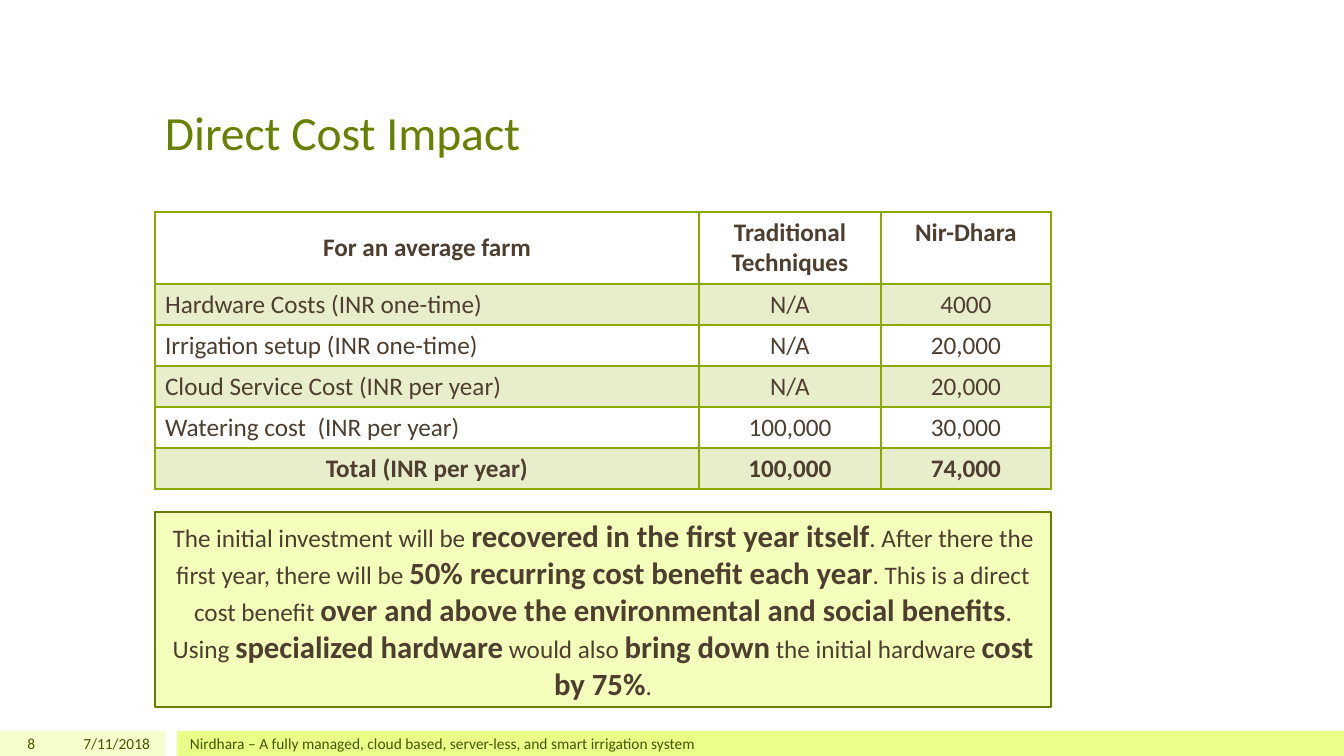
import pptx
import pptx.util
import pptx.dml.color
import pptx.enum.shapes
import pptx.enum.text
import pptx.oxml.ns
import lxml.etree

EMU = 12192000 / 1344
FONT = "Calibri"
HEX = {
    "title": "688000",
    "foot": "455500",
    "body": "4D3E2F",
    "line": "8BAA00",
    "band": "E8EECC",
    "white": "FFFFFF",
    "note": "F3FFBB",
    "edge": "677E00",
    "pale": "F6FFCC",
    "lime": "E9FF88",
}
ALIGN = pptx.enum.text.PP_ALIGN
ANCHOR = pptx.enum.text.MSO_ANCHOR
COSTS = [
    ("For an average farm", "Traditional Techniques", "Nir-Dhara"),
    ("Hardware Costs (INR one-time)", "N/A", "4000"),
    ("Irrigation setup (INR one-time)", "N/A", "20,000"),
    ("Cloud Service Cost (INR per year)", "N/A", "20,000"),
    ("Watering cost  (INR per year)", "100,000", "30,000"),
    ("Total (INR per year)", "100,000", "74,000"),
]
NOTE = [
    ("The initial investment will be ", False),
    ("recovered in the first year itself", True),
    (". After there the first year, there will be ", False),
    ("50% recurring cost benefit each year", True),
    (". This is a direct cost benefit ", False),
    ("over and above the environmental and social benefits", True),
    (". Using ", False),
    ("specialized hardware", True),
    (" would also ", False),
    ("bring down", True),
    (" the initial hardware ", False),
    ("cost by 75%", True),
    (".", False),
]


def px(num):
    return pptx.util.Emu(round(num * EMU))


def tint(name):
    return pptx.dml.color.RGBColor.from_string(HEX[name])


def style(font, size, color, bold=False):
    font.name = FONT
    font.size = pptx.util.Pt(size)
    font.bold = bold
    font.color.rgb = tint(color)


def add_rect(slide, area, fill, edge=None):
    kind = pptx.enum.shapes.MSO_SHAPE.RECTANGLE
    rect = slide.shapes.add_shape(kind, *map(px, area))
    rect.shadow.inherit = False
    rect.fill.solid()
    rect.fill.fore_color.rgb = tint(fill)
    if edge:
        rect.line.color.rgb = tint(edge)
        rect.line.width = pptx.util.Pt(1)
    else:
        rect.line.fill.background()
    return rect


def add_label(slide, area, text, size, color, align=ALIGN.LEFT, anchor=ANCHOR.MIDDLE):
    frame = slide.shapes.add_textbox(*map(px, area)).text_frame
    frame.word_wrap = True
    frame.vertical_anchor = anchor
    frame.margin_top = frame.margin_bottom = 0
    frame.text = text
    para = frame.paragraphs[0]
    para.alignment = align
    style(para.runs[0].font, size, color)


def set_edge(cell, side, points):
    props = cell._tc.get_or_add_tcPr()
    name = pptx.oxml.ns.qn
    line = lxml.etree.SubElement(props, name("a:ln" + side), w=str(points * 12700))
    fill = lxml.etree.SubElement(line, name("a:solidFill"))
    lxml.etree.SubElement(fill, name("a:srgbClr"), val=HEX["line"])


def fill_cell(cell, text, row, col):
    last = len(COSTS) - 1
    for side in "LRTB":
        thick = (side == "B" and row == 0) or (side == "T" and row == 1)
        set_edge(cell, side, 2 if thick else 1)
    cell.fill.solid()
    cell.fill.fore_color.rgb = tint("band" if row % 2 else "white")
    cell.vertical_anchor = ANCHOR.MIDDLE if row == col == 0 else ANCHOR.TOP
    cell.text_frame.text = text
    para = cell.text_frame.paragraphs[0]
    ends = row in (0, last)
    para.alignment = ALIGN.CENTER if col or ends else ALIGN.LEFT
    style(para.runs[0].font, 18, "body", ends)


def add_costs(slide):
    area = map(px, (155, 212, 896, 277))
    table = slide.shapes.add_table(len(COSTS), 3, *area).table
    for col, width in enumerate((544, 182, 170)):
        table.columns[col].width = px(width)
    for row, texts in enumerate(COSTS):
        table.rows[row].height = px(41 if row else 72)
        for col, text in enumerate(texts):
            fill_cell(table.cell(row, col), text, row, col)


def add_note(slide):
    frame = add_rect(slide, (155, 512, 896, 195), "note", "edge").text_frame
    frame.word_wrap = True
    frame.vertical_anchor = ANCHOR.MIDDLE
    para = frame.paragraphs[0]
    para.alignment = ALIGN.CENTER
    for text, strong in NOTE:
        run = para.add_run()
        run.text = text
        style(run.font, 22 if strong else 18, "body", strong)


def add_foot(slide):
    add_rect(slide, (0, 731, 165, 25), "pale")
    add_rect(slide, (177, 731, 1167, 25), "lime")
    line = "Nirdhara – A fully managed, cloud based, server-less, and smart irrigation system"
    for left, width, text, align in (
        (0, 45, "8", ALIGN.RIGHT),
        (50, 110, "7/11/2018", ALIGN.RIGHT),
        (180, 1008, line, ALIGN.LEFT),
    ):
        add_label(slide, (left, 731, width, 25), text, 11, "foot", align)


def main():
    deck = pptx.Presentation()
    deck.slide_width, deck.slide_height = px(1344), px(756)
    slide = deck.slides.add_slide(deck.slide_layouts[6])
    add_foot(slide)
    add_label(slide, (155, 30, 1033, 130), "Direct Cost Impact", 34, "title", anchor=ANCHOR.BOTTOM)
    add_costs(slide)
    add_note(slide)
    deck.save("out.pptx")


if __name__ == "__main__":
    main()
